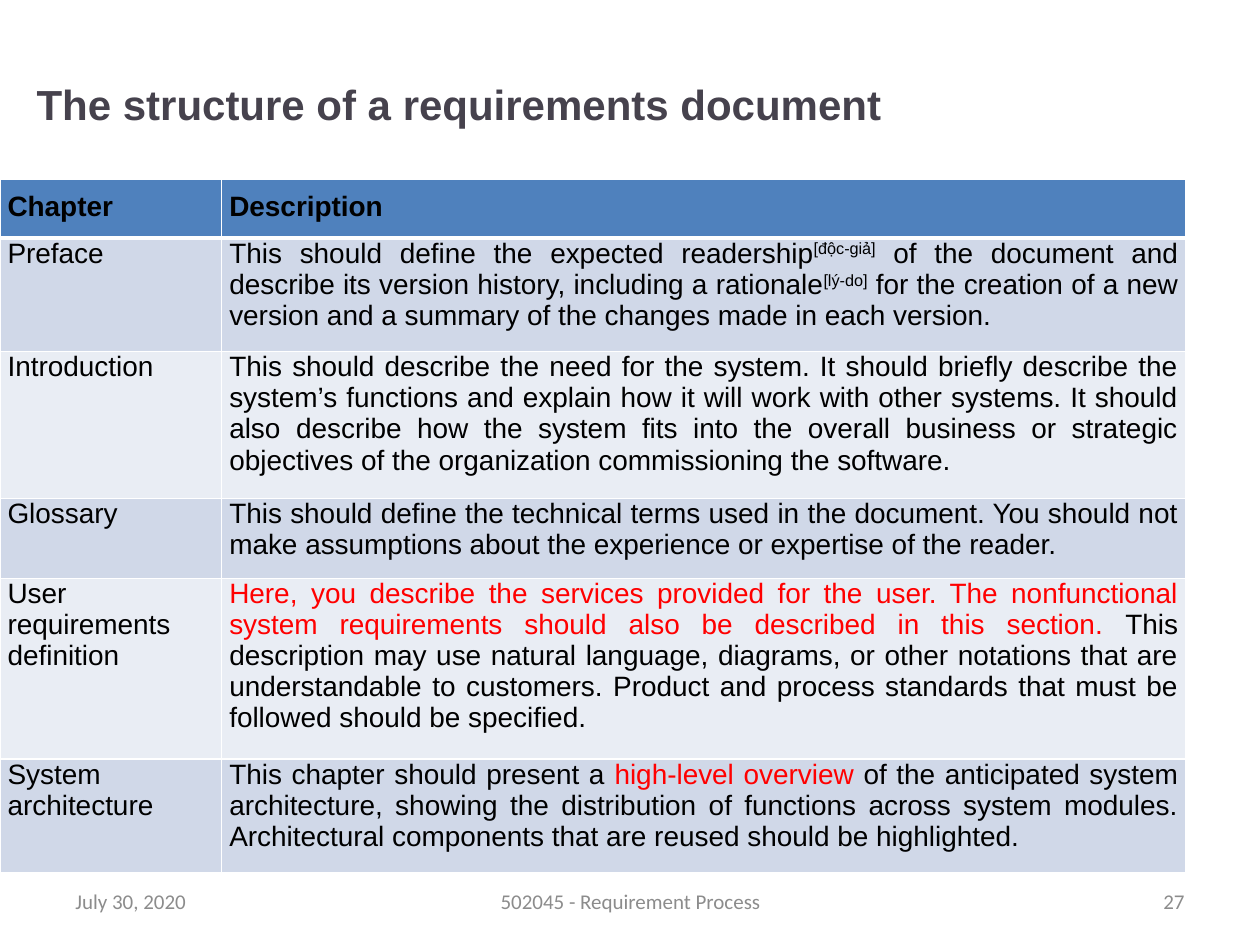
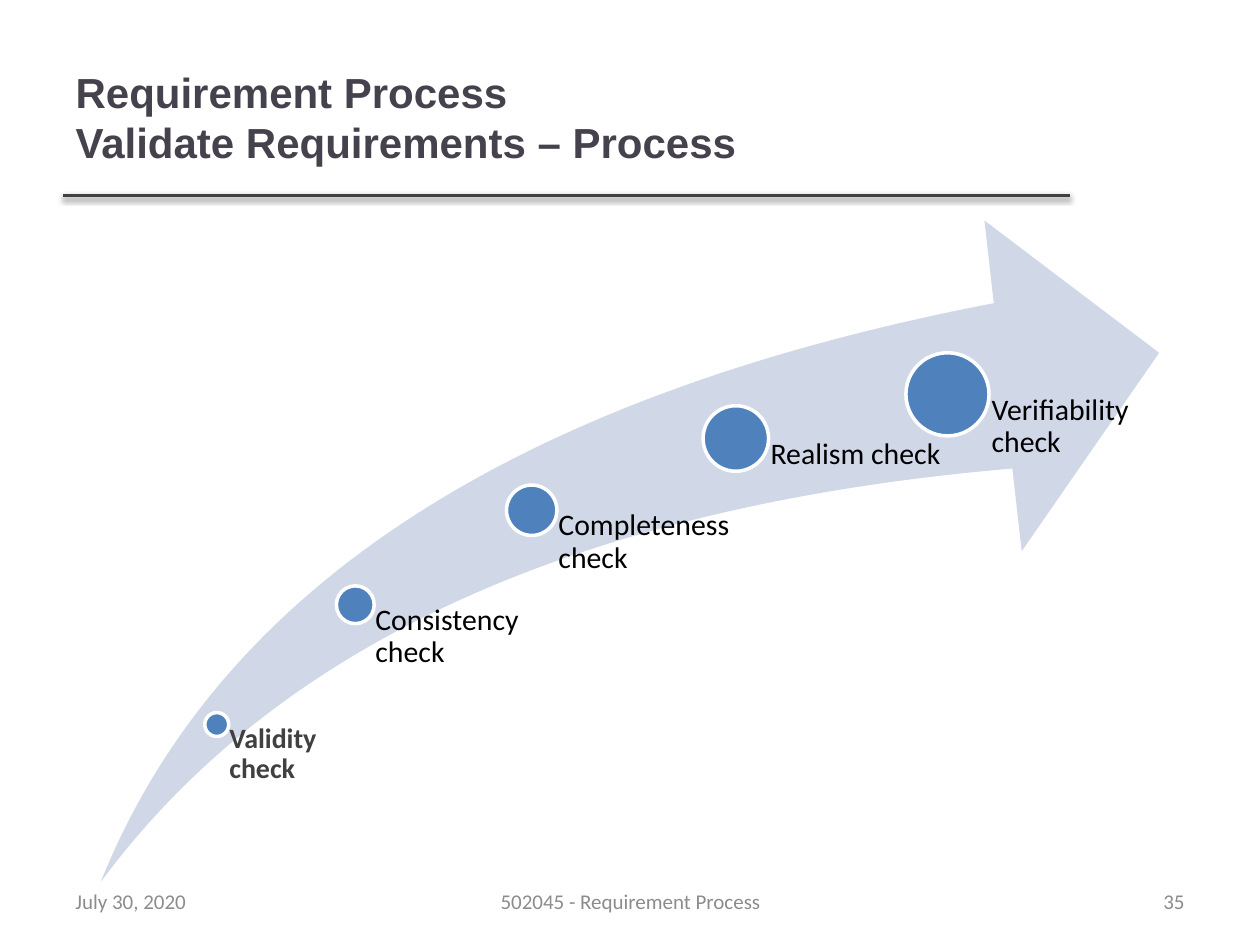
from dataclasses import dataclass

from lxml import etree
from pptx import Presentation
from pptx import util as u
from pptx.dml import color
from pptx.enum import shapes, text
from pptx.oxml import ns


@dataclass(frozen=True)
class Theme:
    heading_font: str = "Arial"
    body_font: str = "Calibri"
    title: str = "46424D"
    rule: str = "404040"
    footer: str = "8C8C8C"
    accent: str = "4F81BD"
    band_dark: str = "D0D8E8"
    band_light: str = "E9EDF4"
    white: str = "FFFFFF"
    black: str = "000000"
    red: str = "FF0000"
    title_size: float = 24
    table_size: float = 16
    footer_size: float = 12
    first_step_size: float = 16
    step_size: float = 17


theme = Theme()
align = text.PP_ALIGN


def rgb(value):
    return color.RGBColor.from_string(value)


def add_run(paragraph, words, font, size, ink, bold=False):
    run = paragraph.add_run()
    run.text = words
    run.font.name = font
    run.font.size = u.Pt(size)
    run.font.color.rgb = rgb(ink)
    run.font.bold = bold
    return run


presentation = Presentation()
presentation.slide_width = u.Inches(10)
presentation.slide_height = u.Inches(7.5)

pages = [
    ("27", ["The structure of a requirements document"], (0.19, 0.23, 8.06, 1.19)),
    ("35", ["Requirement Process ", "Validate Requirements – Process"], (0.5, 0.3, 7.98, 1.25)),
]
slides = []
for number, title_lines, title_box in pages:
    slide = presentation.slides.add_slide(presentation.slide_layouts[5])
    slides.append(slide)

    title = slide.shapes.title
    title.left, title.top, title.width, title.height = map(u.Inches, title_box)
    frame = title.text_frame
    frame.auto_size = text.MSO_AUTO_SIZE.NONE
    frame.vertical_anchor = text.MSO_ANCHOR.MIDDLE
    paragraph = frame.paragraphs[0]
    paragraph.alignment = align.LEFT
    for index, line in enumerate(title_lines):
        if index:
            paragraph.add_line_break()
        add_run(paragraph, line, theme.heading_font, theme.title_size, theme.title, True)

    rule = slide.shapes.add_connector(
        shapes.MSO_CONNECTOR.STRAIGHT, u.Inches(0.5), u.Inches(1.55), u.Inches(8.49), u.Inches(1.55))
    rule.line.color.rgb = rgb(theme.rule)
    rule.line.width = u.Pt(2)
    effects = etree.SubElement(rule._element.spPr, ns.qn("a:effectLst"))
    shadow = etree.SubElement(
        effects, ns.qn("a:outerShdw"), blurRad=str(u.Pt(3.1)), dist=str(u.Pt(1.6)), dir="5400000", rotWithShape="0")
    shadow_color = etree.SubElement(shadow, ns.qn("a:srgbClr"), val=theme.black)
    etree.SubElement(shadow_color, ns.qn("a:alpha"), val="38000")

    for words, left, width, alignment in [
        ("July 30, 2020", 0.5, 2.33, align.LEFT),
        ("502045 - Requirement Process", 3.42, 3.17, align.CENTER),
        (number, 7.17, 2.33, align.RIGHT),
    ]:
        footer = slide.shapes.add_textbox(u.Inches(left), u.Inches(6.95), u.Inches(width), u.Inches(0.4))
        footer.text_frame.word_wrap = True
        footer.text_frame.vertical_anchor = text.MSO_ANCHOR.MIDDLE
        paragraph = footer.text_frame.paragraphs[0]
        paragraph.alignment = alignment
        add_run(paragraph, words, theme.body_font, theme.footer_size, theme.footer)

structure_slide, validation_slide = slides

chapters = [
    (0.47, "Chapter", [("Description", "")]),
    (0.87, "Preface ", [
        ("This should define the expected readership", ""),
        ("[độc-giả]", "superscript"),
        (" of the document and describe its version history, including a rationale", ""),
        ("[lý-do]", "superscript"),
        (" for the creation of a new version and a summary of the changes made in each version. ", ""),
    ]),
    (1.12, "Introduction", [
        ("This should describe the need for the system. It should briefly describe the system’s functions "
         "and explain how it will work with other systems. It should also describe how the system fits into "
         "the overall business or strategic objectives of the organization commissioning the software.", ""),
    ]),
    (0.62, "Glossary", [
        ("This should define the technical terms used in the document. You should not make assumptions "
         "about the experience or expertise of the reader.", ""),
    ]),
    (1.38, "User requirements definition", [
        ("Here, you describe the services provided for the user. The nonfunctional system requirements "
         "should also be described in this section. ", "highlight"),
        ("This description may use natural language, diagrams, or other notations that are understandable "
         "to customers. Product and process standards that must be followed should be specified.", ""),
    ]),
    (0.87, "System architecture", [
        ("This chapter should present a ", ""),
        ("high-level overview ", "highlight"),
        ("of the anticipated system architecture, showing the distribution of functions across system "
         "modules. Architectural components that are reused should be highlighted.", ""),
    ]),
]
table_height = sum(height for height, name, description in chapters)
table = structure_slide.shapes.add_table(
    len(chapters), 2, u.Inches(0), u.Inches(1.42), u.Inches(9.41), u.Inches(table_height)).table
table.columns[0].width = u.Inches(1.76)
table.columns[1].width = u.Inches(7.65)

for row, (height, name, description) in enumerate(chapters):
    table.rows[row].height = u.Inches(height)
    header = row == 0
    fill = theme.accent if header else theme.band_dark if row % 2 else theme.band_light
    for column, runs in enumerate([[(name, "")], description]):
        cell = table.cell(row, column)
        cell.margin_left = cell.margin_right = u.Inches(0.06)
        cell.margin_top = u.Inches(0.1 if header else 0)
        cell.margin_bottom = u.Inches(0.1)
        properties = cell._tc.get_or_add_tcPr()
        for side in ("lnL", "lnR", "lnT", "lnB"):
            thick = (row, side) in [(0, "lnB"), (1, "lnT")]
            border = etree.SubElement(properties, ns.qn("a:" + side), w=str(u.Pt(3 if thick else 1)))
            border_fill = etree.SubElement(border, ns.qn("a:solidFill"))
            etree.SubElement(border_fill, ns.qn("a:srgbClr"), val=theme.white)
        cell.fill.solid()
        cell.fill.fore_color.rgb = rgb(fill)
        paragraph = cell.text_frame.paragraphs[0]
        paragraph.alignment = align.JUSTIFY
        for words, style in runs:
            ink = theme.red if style == "highlight" else theme.black
            run = add_run(paragraph, words, theme.heading_font, theme.table_size, ink, header)
            if style == "superscript":
                run._r.get_or_add_rPr().set("baseline", "30000")

diagram = validation_slide.shapes.add_group_shape()
arrow = diagram.shapes.add_shape(
    shapes.MSO_SHAPE.SWOOSH_ARROW, u.Inches(0.8), u.Inches(1.75), u.Inches(8.4), u.Inches(5.25))
arrow.adjustments[0] = 0.25
arrow.adjustments[1] = 0.25
arrow.shadow.inherit = False
arrow.fill.solid()
arrow.fill.fore_color.rgb = rgb(theme.band_dark)
arrow.line.fill.background()

diagram_bottom = 7
steps = [
    ("Validity check", 1.72, 5.75, 0.19, 1.1),
    ("Consistency check", 2.82, 4.8, 0.3, 1.39),
    ("Completeness check", 4.22, 4.05, 0.4, 1.62),
    ("Realism check", 5.84, 3.48, 0.52, 1.68),
    ("Verifiability check", 7.52, 3.13, 0.66, 1.68),
]
for index, (words, center_x, center_y, diameter, label_width) in enumerate(steps):
    dot = diagram.shapes.add_shape(
        shapes.MSO_SHAPE.OVAL, u.Inches(center_x - diameter / 2), u.Inches(center_y - diameter / 2),
        u.Inches(diameter), u.Inches(diameter))
    dot.shadow.inherit = False
    dot.fill.solid()
    dot.fill.fore_color.rgb = rgb(theme.accent)
    dot.line.color.rgb = rgb(theme.white)
    dot.line.width = u.Pt(2)

    label = diagram.shapes.add_textbox(
        u.Inches(center_x), u.Inches(center_y), u.Inches(label_width), u.Inches(diagram_bottom - center_y))
    frame = label.text_frame
    frame.word_wrap = True
    frame.margin_left = u.Inches(diameter * 0.53)
    frame.margin_top = frame.margin_right = frame.margin_bottom = 0
    paragraph = frame.paragraphs[0]
    paragraph.line_spacing = 0.9
    first = index == 0
    add_run(paragraph, words, theme.body_font, theme.first_step_size if first else theme.step_size,
            theme.rule if first else theme.black, first)

presentation.save("out.pptx")
